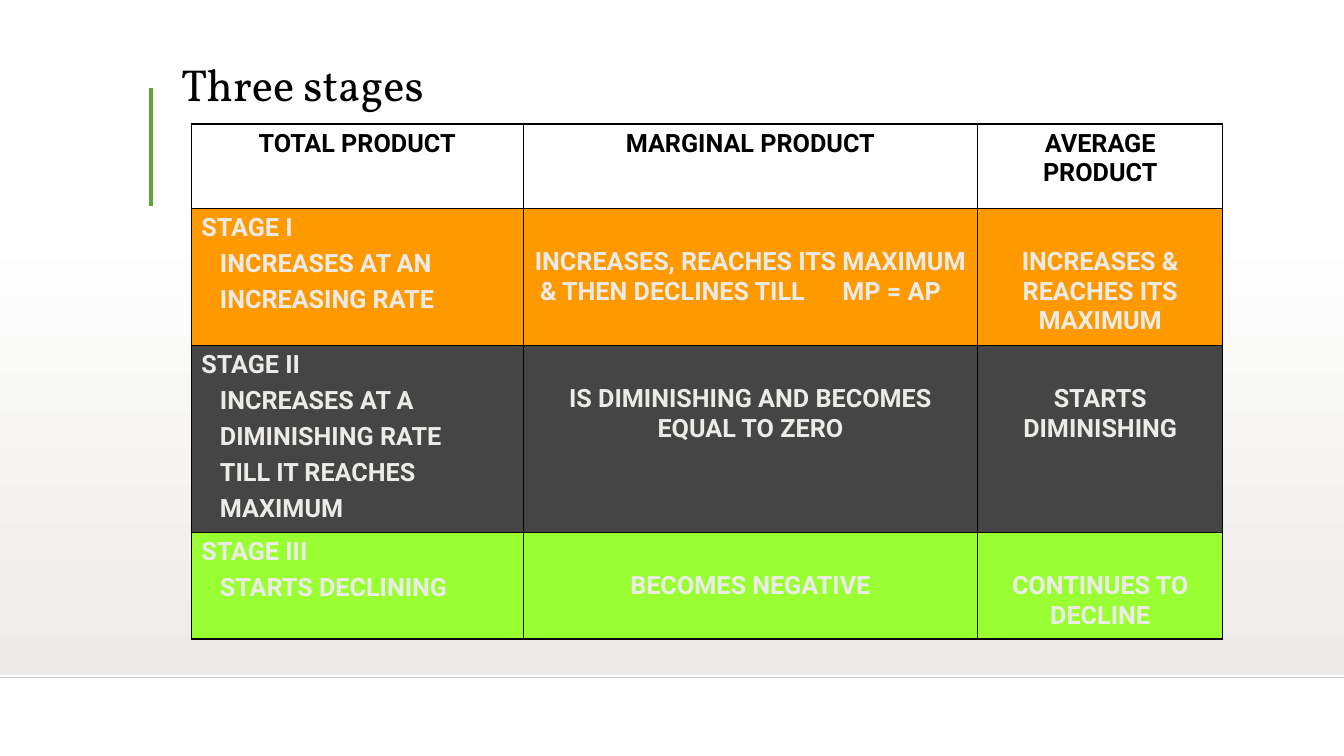
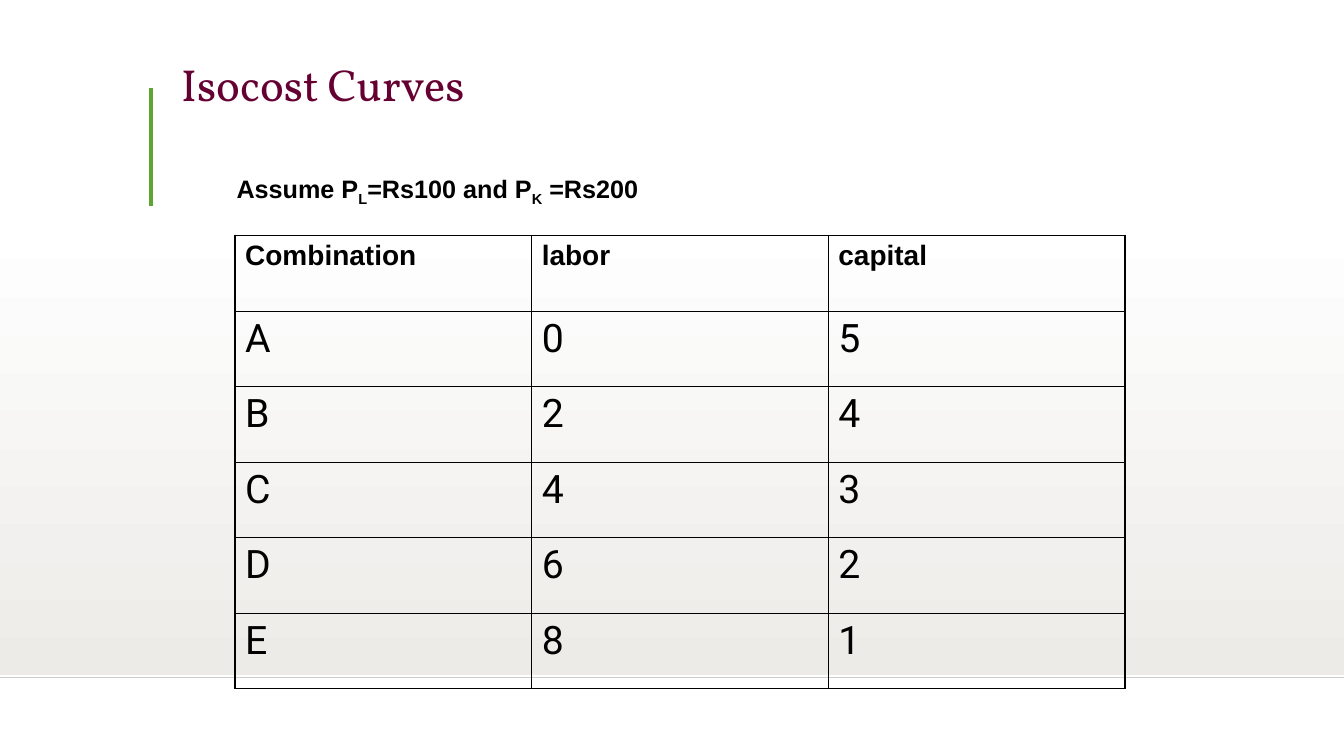
from lxml import etree
from pptx import Presentation
from pptx.dml.color import RGBColor
from pptx.enum.shapes import MSO_CONNECTOR, MSO_SHAPE
from pptx.enum.text import MSO_ANCHOR, PP_ALIGN
from pptx.oxml.ns import qn
from pptx.util import Pt

LINE = MSO_CONNECTOR.STRAIGHT
RECT = MSO_SHAPE.RECTANGLE
BASE = MSO_ANCHOR.BOTTOM
LEFT, MID = PP_ALIGN.LEFT, PP_ALIGN.CENTER

WIDE, HIGH = 960.48, 540
BLACK, WHITE, SAND = "000000", "FFFFFF", "EDEBE7"
GREEN, GREY, WINE = "5FA534", "CCCCCC", "660033"
HEAD, BODY, SANS = "Vollkorn", "Roboto", "Arial"
THICK, THIN = 1.08, 0.45

STAGES = [
    ("FF9900", ["STAGE I", "INCREASES AT AN", "INCREASING RATE"],
     ["INCREASES, REACHES ITS MAXIMUM", "& THEN DECLINES TILL\tMP = AP"],
     ["INCREASES & REACHES ITS MAXIMUM"]),
    ("454545", ["STAGE II", "INCREASES AT A", "DIMINISHING RATE",
                "TILL IT REACHES", "MAXIMUM"],
     ["IS DIMINISHING AND BECOMES EQUAL TO ZERO"],
     ["STARTS DIMINISHING"]),
    ("99FF33", ["STAGE III", "STARTS DECLINING"],
     ["BECOMES NEGATIVE"], ["CONTINUES TO DECLINE"]),
]
COSTS = [("Combination", "labor", "capital"), ("A", "0", "5"), ("B", "2", "4"),
         ("C", "4", "3"), ("D", "6", "2"), ("E", "8", "1")]


def tint(code):
    return RGBColor.from_string(code)


def style(par, face, size, color, bold=False):
    font = par.font
    font.name, font.size, font.bold = face, Pt(size), bold
    font.color.rgb = tint(color)


def rule(slide, ends, color, width):
    line = slide.shapes.add_connector(LINE, *map(Pt, ends))
    line.line.color.rgb = tint(color)
    line.line.width = Pt(width)
    etree.SubElement(line._element.spPr, qn("a:effectLst"))


def label(slide, box):
    frame = slide.shapes.add_textbox(*map(Pt, box)).text_frame
    frame.word_wrap = True
    return frame


def base(deck, title, color):
    slide = deck.slides.add_slide(deck.slide_layouts[6])
    band = slide.shapes.add_shape(RECT, 0, Pt(158.4), Pt(WIDE), Pt(324))
    band.shadow.inherit = False
    band.line.fill.background()
    band.fill.gradient()
    band.fill.gradient_angle = 270
    for stop, code in zip(band.fill.gradient_stops, (WHITE, SAND)):
        stop.color.rgb = tint(code)
    rule(slide, (0, 483.84, WIDE, 483.84), GREY, 1)
    rule(slide, (108, 62.64, 108, 146.88), GREEN, 3)
    frame = label(slide, (122.4, 0, 749.5, 82.8))
    frame.vertical_anchor = BASE
    par = frame.paragraphs[0]
    par.text = title
    par.line_spacing = 0.9
    style(par, HEAD, 32, color)
    return slide


def edge(cell, side, width):
    props = cell._tc.get_or_add_tcPr()
    line = etree.SubElement(props, qn("a:ln" + side), w=str(Pt(width)))
    fill = etree.SubElement(line, qn("a:solidFill"))
    etree.SubElement(fill, qn("a:srgbClr"), val=BLACK)


def grid(slide, left, top, cols, rows):
    frame = slide.shapes.add_table(len(rows), len(cols), Pt(left), Pt(top),
                                   Pt(sum(cols)), Pt(sum(rows)))
    table = frame.table
    table.first_row = table.horz_banding = False
    for col, width in zip(table.columns, cols):
        col.width = Pt(width)
    for row, height in zip(table.rows, rows):
        row.height = Pt(height)
    for y in range(len(rows)):
        for x in range(len(cols)):
            cell = table.cell(y, x)
            outer = {"L": x == 0, "R": x == len(cols) - 1,
                     "T": y == 0, "B": y == len(rows) - 1}
            for side, thick in outer.items():
                edge(cell, side, THICK if thick else THIN)
            cell.fill.background()
    return table


def write(cell, lines, face, size, color, bold=False, align=LEFT):
    cell.text = "\n".join(lines)
    for par in cell.text_frame.paragraphs:
        par.alignment = align
        style(par, face, size, color, bold)


def inset(par, left):
    props = par._p.get_or_add_pPr()
    props.set("marL", str(Pt(left)))
    props.set("indent", "0")
    return props


def split(par, left, stop):
    par.alignment = LEFT
    tabs = etree.Element(qn("a:tabLst"))
    etree.SubElement(tabs, qn("a:tab"), pos=str(Pt(stop)), algn="l")
    props = inset(par, left)
    props.insert(0, tabs)


def stages(deck):
    slide = base(deck, "Three stages", BLACK)
    table = grid(slide, 136.8, 88.56, (237, 325, 175), (60, 98, 133.5, 76.4))
    for x, name in enumerate(("TOTAL PRODUCT", "MARGINAL PRODUCT",
                              "AVERAGE PRODUCT")):
        write(table.cell(0, x), [name], BODY, 18, BLACK, True, MID)
    for y, (color, *parts) in enumerate(STAGES, 1):
        for x, lines in enumerate(parts):
            cell = table.cell(y, x)
            cell.fill.solid()
            cell.fill.fore_color.rgb = tint(color)
            write(cell, lines, BODY, 18, SAND, True, MID if x else LEFT)
            if x:
                cell.margin_top = Pt(28)
            for par in cell.text_frame.paragraphs[1:]:
                if x:
                    split(par, 5, 235)
                else:
                    inset(par, 13.2)
                    par.space_before = Pt(4.5)


def costs(deck):
    slide = base(deck, "Isocost Curves", WINE)
    par = label(slide, (162, 120.24, 573, 64.8)).paragraphs[0]
    for text, low in (("Assume P", False), ("L", True), ("=Rs100 and P", False),
                      ("K", True), (" =Rs200", False)):
        run = par.add_run()
        run.text = text
        if low:
            run._r.get_or_add_rPr().set("baseline", "-25000")
    style(par, SANS, 18, BLACK, True)
    table = grid(slide, 168, 168, [212] * 3, [54] * len(COSTS))
    for y, row in enumerate(COSTS):
        face, size = (BODY, 28) if y else (SANS, 20)
        for x, text in enumerate(row):
            write(table.cell(y, x), [text], face, size, BLACK, not y)


def main():
    deck = Presentation()
    deck.slide_width, deck.slide_height = Pt(WIDE), Pt(HIGH)
    stages(deck)
    costs(deck)
    deck.save("out.pptx")


if __name__ == "__main__":
    main()
